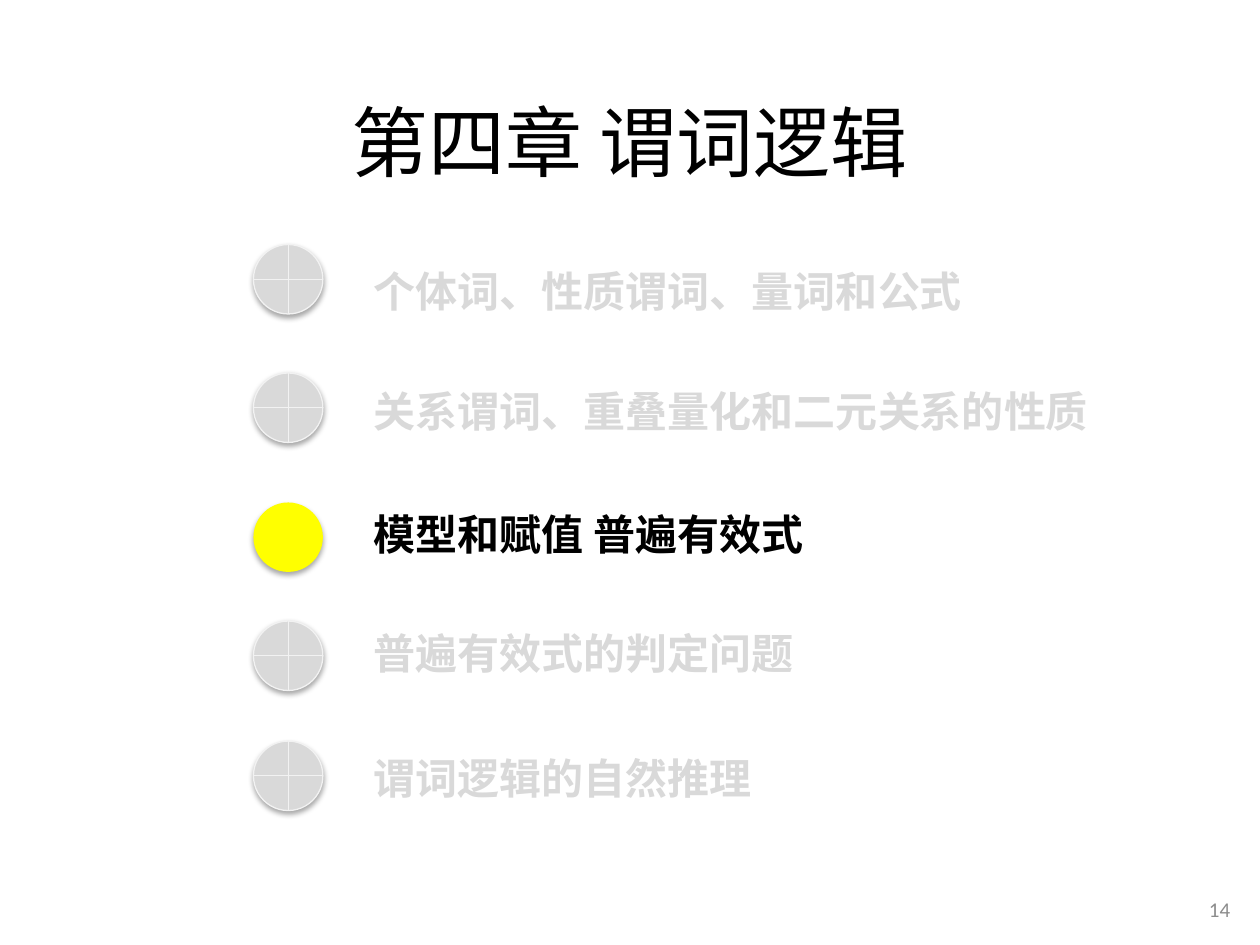
import lxml.etree
import pptx
import pptx.dml.color
import pptx.enum.shapes
import pptx.enum.text
import pptx.oxml
import pptx.oxml.ns
import pptx.util

Cm = pptx.util.Cm
Pt = pptx.util.Pt
ALIGN = pptx.enum.text.PP_ALIGN
ANCHOR = pptx.enum.text.MSO_ANCHOR
CJK_FONT = "Noto Sans CJK JP"
MUTED = "D9D9D9"
MARKER_SIZE = 1.4
TEXT_OFFSET = 2.18

# marker top, text top, text width (cm), Latin font, wording
TOPICS = [
    (4.93, 5.23, 14.2, "Calibri", "个体词、性质谓词、量词和公式"),
    (7.52, 7.65, 15.01, "Arial", "关系谓词、重叠量化和二元关系的性质"),
    (10.13, 10.13, 14.2, "Arial", "模型和赋值 普遍有效式"),
    (12.52, 12.52, 14.2, "Arial", "普遍有效式的判定问题"),
    (14.94, 15.04, 14.2, "Arial", "谓词逻辑的自然推理"),
]
CURRENT_TOPIC = 2

SHADOW = (
    '<a:effectLst xmlns:a="http://schemas.openxmlformats.org/drawingml/2006/main">'
    '<a:outerShdw blurRad="40000" dist="23000" dir="5400000" rotWithShape="0">'
    '<a:srgbClr val="000000"><a:alpha val="35000"/></a:srgbClr>'
    '</a:outerShdw></a:effectLst>'
)


def color(hex_value):
    return pptx.dml.color.RGBColor.from_string(hex_value)


def format_text(paragraph, font_name, size, hex_value, bold=False):
    for run in paragraph.runs:
        font = run.font
        font.name, font.size, font.bold = font_name, Pt(size), bold
        font.color.rgb = color(hex_value)
        east_asian = lxml.etree.Element(pptx.oxml.ns.qn("a:ea"), typeface=CJK_FONT)
        font._element.find(pptx.oxml.ns.qn("a:latin")).addnext(east_asian)


def place_title(slide, left, top, width, height):
    title = slide.shapes.title
    title.left, title.top, title.width, title.height = map(Cm, (left, top, width, height))
    frame = title.text_frame
    frame.text = "第四章 谓词逻辑"
    frame.vertical_anchor = ANCHOR.MIDDLE
    frame.auto_size = pptx.enum.text.MSO_AUTO_SIZE.NONE
    heading = frame.paragraphs[0]
    heading.alignment = ALIGN.CENTER
    heading.line_spacing = 1.5
    format_text(heading, CJK_FONT, 44, "000000")


def add_marker(slide, left, top, is_current):
    marker = slide.shapes.add_shape(
        pptx.enum.shapes.MSO_SHAPE.FLOWCHART_OR,
        Cm(left), Cm(top), Cm(MARKER_SIZE), Cm(MARKER_SIZE))
    marker.fill.solid()
    marker.fill.fore_color.rgb = color("FFFF00" if is_current else MUTED)
    if is_current:
        marker.line.fill.background()
    else:
        marker.line.color.rgb = color("F2F2F2")
        marker.line.width = Pt(0.75)
    marker._element.spPr.append(pptx.oxml.parse_xml(SHADOW))


def add_topics(slide, left):
    for index, (marker_top, text_top, width, font_name, wording) in enumerate(TOPICS):
        is_current = index == CURRENT_TOPIC
        add_marker(slide, left, marker_top, is_current)
        topic = slide.shapes.add_textbox(
            Cm(left + TEXT_OFFSET), Cm(text_top), Cm(width), Cm(1.28))
        frame = topic.text_frame
        frame.word_wrap = True
        frame.auto_size = pptx.enum.text.MSO_AUTO_SIZE.SHAPE_TO_FIT_TEXT
        frame.text = wording
        format_text(frame.paragraphs[0], font_name, 24,
                    "000000" if is_current else MUTED, bold=True)


def add_page_number(slide, left, top, width, height):
    page_number = slide.shapes.add_textbox(Cm(left), Cm(top), Cm(width), Cm(height))
    frame = page_number.text_frame
    frame.word_wrap = True
    frame.vertical_anchor = ANCHOR.MIDDLE
    frame.text = "14"
    frame.paragraphs[0].alignment = ALIGN.RIGHT
    format_text(frame.paragraphs[0], "Calibri", 12, "8C8C8C")


def main():
    presentation = pptx.Presentation()
    presentation.slide_width, presentation.slide_height = Cm(25.4), Cm(19.05)
    slide = presentation.slides.add_slide(presentation.slide_layouts[5])
    place_title(slide, 1.27, 0.79, 22.86, 3.15)
    add_topics(slide, 5.11)
    add_page_number(slide, 24.03, 17.81, 1.02, 1.02)
    presentation.save("out.pptx")


if __name__ == "__main__":
    main()
